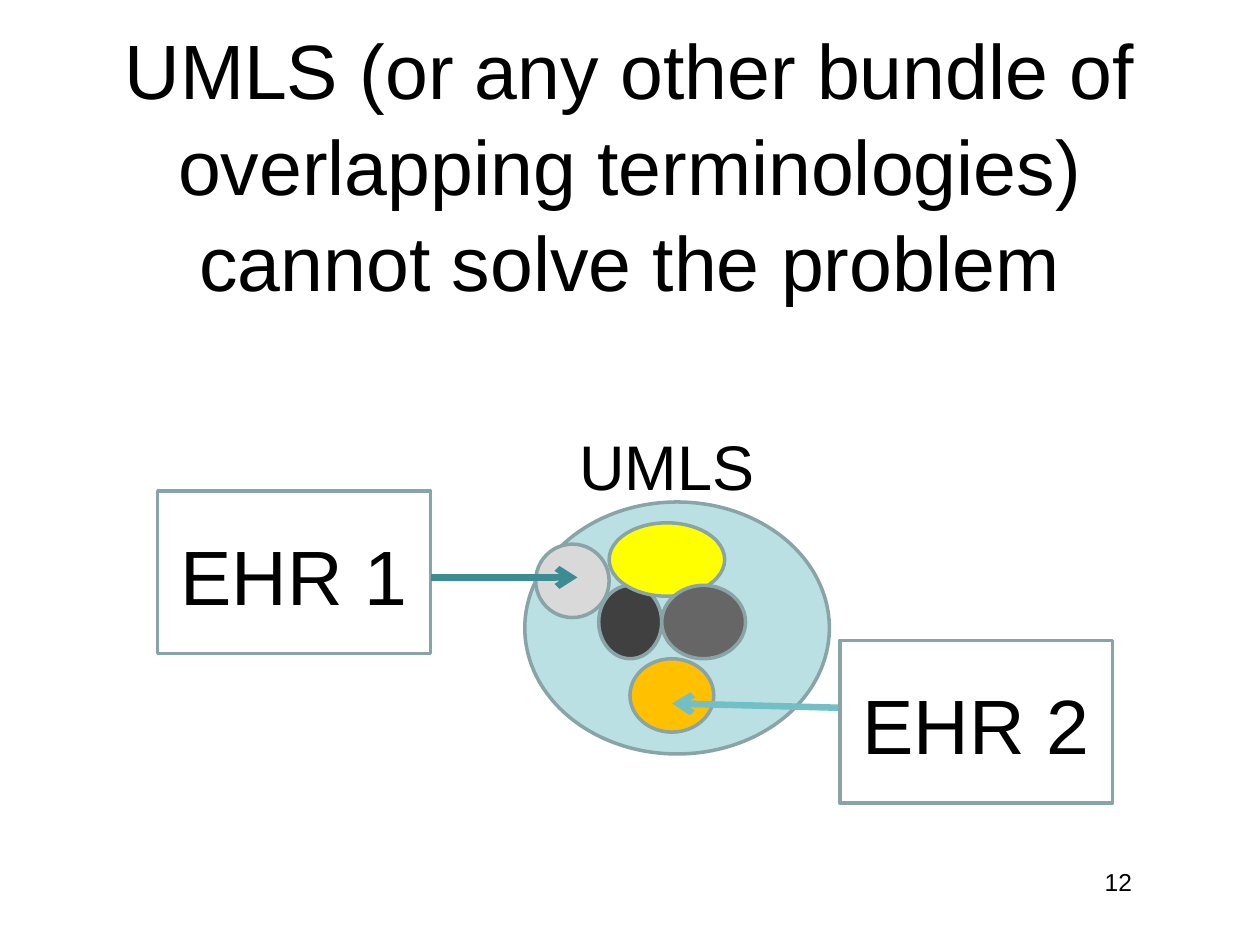
import pptx
import pptx.dml.color
import pptx.enum.shapes
import pptx.enum.text
import pptx.oxml
import pptx.oxml.ns
import pptx.util

Cm = pptx.util.Cm
Pt = pptx.util.Pt
Shape = pptx.enum.shapes.MSO_SHAPE
Align = pptx.enum.text.PP_ALIGN
Anchor = pptx.enum.text.MSO_ANCHOR

COLOURS = {
    "text": "000000",
    "paper": "FFFFFF",
    "outline": "89A4A7",
    "bundle": "BBE0E3",
    "light": "D9D9D9",
    "dark": "404040",
    "yellow": "FFFF00",
    "grey": "666666",
    "orange": "FFC000",
    "deep_teal": "3C8C93",
    "soft_teal": "72BFC5",
}


def colour(name):
    return pptx.dml.color.RGBColor.from_string(COLOURS[name])


class SlideBuilder:
    font = "Arial"
    outline_width = 2
    arrow_width = 3.75

    def __init__(self, slide):
        self.slide = slide

    def fill_text(self, shape, text, size, align, anchor, insets, spacing=None):
        frame = shape.text_frame
        frame.word_wrap = True
        frame.vertical_anchor = anchor
        frame.margin_left, frame.margin_top, frame.margin_right, frame.margin_bottom = map(Cm, insets)
        paragraph = frame.paragraphs[0]
        paragraph.alignment = align
        if spacing:
            paragraph.line_spacing = spacing
        run = paragraph.add_run()
        run.text = text
        run.font.name = self.font
        run.font.size = Pt(size)
        run.font.color.rgb = colour("text")

    def text(self, box, text, size, align=Align.LEFT, anchor=Anchor.TOP,
             insets=(0, 0, 0, 0), spacing=None):
        shape = self.slide.shapes.add_textbox(*map(Cm, box))
        self.fill_text(shape, text, size, align, anchor, insets, spacing)

    def shape(self, kind, box, fill):
        shape = self.slide.shapes.add_shape(kind, *map(Cm, box))
        shape.shadow.inherit = False
        shape.fill.solid()
        shape.fill.fore_color.rgb = colour(fill)
        shape.line.color.rgb = colour("outline")
        shape.line.width = Pt(self.outline_width)
        return shape

    def ellipse(self, box, fill):
        self.shape(Shape.OVAL, box, fill)

    def record(self, left, top, label):
        shape = self.shape(Shape.RECTANGLE, (left, top, 5.5, 3.28), "paper")
        self.fill_text(shape, label, 44, Align.CENTER, Anchor.MIDDLE, (0.25, 0.13, 0.25, 0.13), 1.04)

    def arrow(self, start, end, line):
        connector = self.slide.shapes.add_connector(
            pptx.enum.shapes.MSO_CONNECTOR.STRAIGHT, *map(Cm, start + end))
        connector.line.color.rgb = colour(line)
        connector.line.width = Pt(self.arrow_width)
        namespace = pptx.oxml.ns.nsdecls("a")
        properties = connector._element.spPr
        outline = properties.find(pptx.oxml.ns.qn("a:ln"))
        outline.append(pptx.oxml.parse_xml(f'<a:tailEnd {namespace} type="arrow"/>'))
        properties.append(pptx.oxml.parse_xml(f"<a:effectLst {namespace}/>"))


def main():
    presentation = pptx.Presentation()
    presentation.slide_width = Cm(25.4)
    presentation.slide_height = Cm(19.05)
    builder = SlideBuilder(presentation.slides.add_slide(presentation.slide_layouts[6]))

    builder.text(
        (1.27, 1.7, 22.86, 3.18),
        "UMLS (or any other bundle of overlapping terminologies) cannot solve the problem",
        44, Align.CENTER, Anchor.MIDDLE, spacing=1.04)
    builder.text((11.68, 8.61, 4, 1.52), "UMLS", 36)
    builder.text((19.48, 17.35, 5.92, 1.02), "12", 14, insets=(2.79, 0.13, 0.25, 0.13))

    builder.ellipse((10.58, 10.12, 6.14, 5.08), "bundle")
    terminology_height = 1.48
    for left, top, width, fill in (
        (10.8, 10.97, 1.48, "light"),
        (12.07, 11.8, 1.27, "dark"),
        (12.28, 10.54, 2.33, "yellow"),
        (13.34, 11.8, 1.69, "grey"),
        (12.7, 13.28, 1.69, "orange"),
    ):
        builder.ellipse((left, top, width, terminology_height), fill)

    builder.record(3.18, 9.9, "EHR 1")
    builder.arrow((8.68, 11.64), (11.64, 11.64), "deep_teal")
    builder.arrow((17.78, 14.29), (13.55, 14.18), "soft_teal")
    builder.record(16.93, 12.91, "EHR 2")

    presentation.save("out.pptx")


if __name__ == "__main__":
    main()
